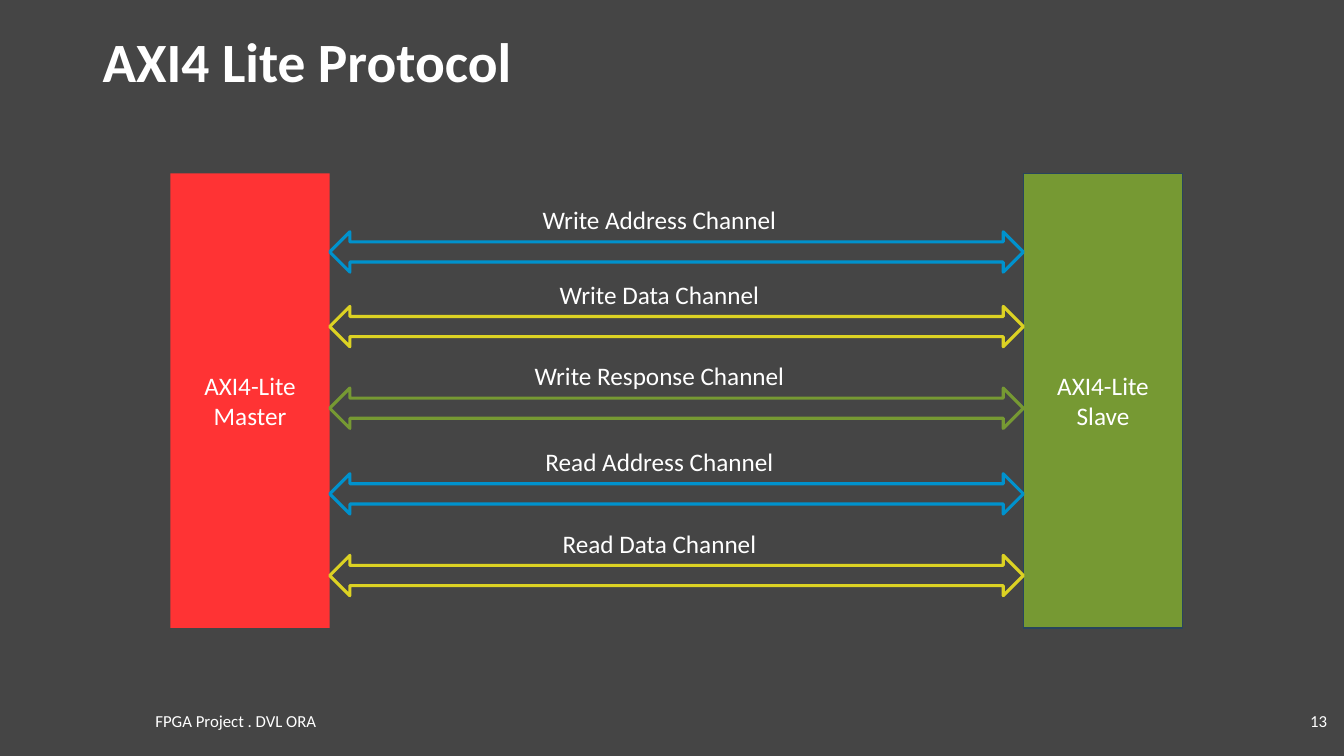
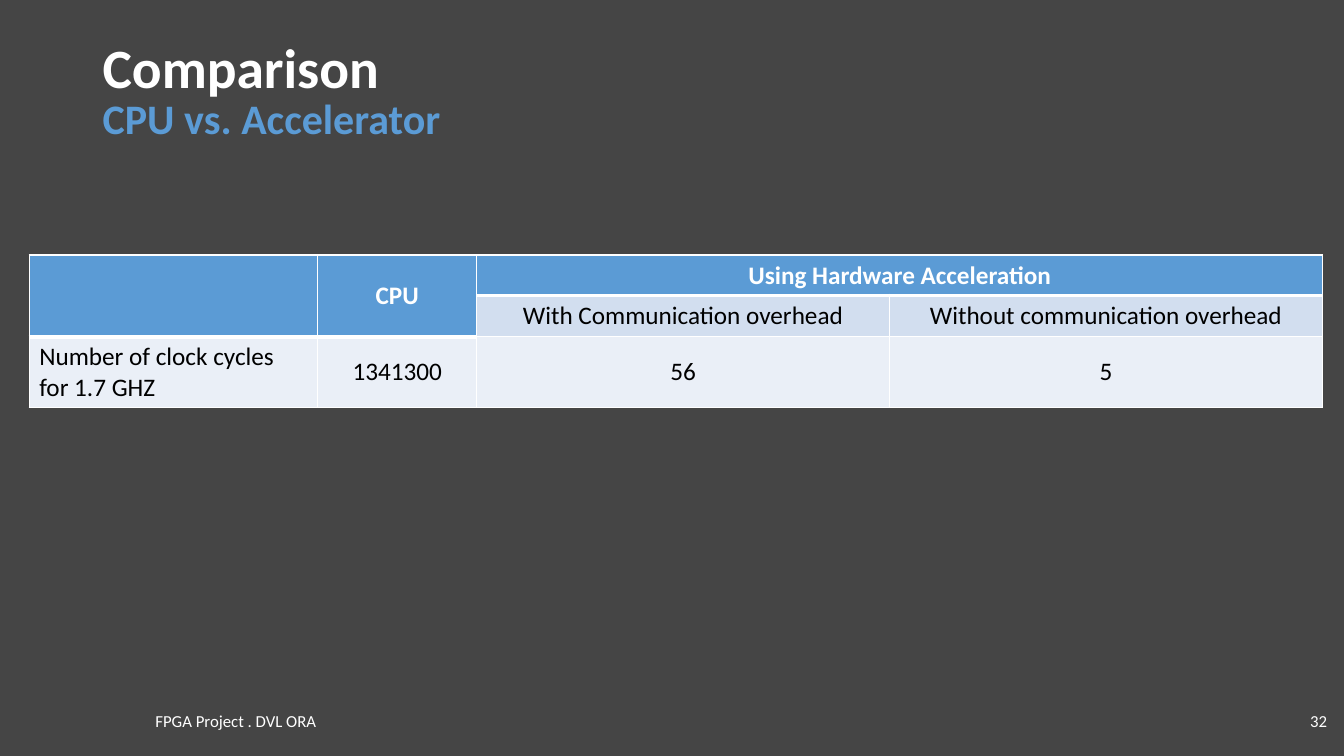
import pptx
import pptx.dml.color
import pptx.enum.shapes
import pptx.enum.text
import pptx.oxml
import pptx.oxml.ns
import pptx.util

Inches = pptx.util.Inches
Pt = pptx.util.Pt
RGBColor = pptx.dml.color.RGBColor
ALIGN = pptx.enum.text.PP_ALIGN
ANCHOR = pptx.enum.text.MSO_ANCHOR
SHAPE = pptx.enum.shapes.MSO_SHAPE

FONT = "Calibri"
FOOTER = "FPGA Project . DVL ORA"
BACKGROUND = RGBColor(0x45, 0x45, 0x45)
WHITE = RGBColor(0xFF, 0xFF, 0xFF)
BLACK = RGBColor(0x00, 0x00, 0x00)
RED = RGBColor(0xFF, 0x33, 0x34)
GREEN = RGBColor(0x76, 0x99, 0x33)
NAVY = RGBColor(0x28, 0x44, 0x5D)
CYAN = RGBColor(0x00, 0x92, 0xCD)
YELLOW = RGBColor(0xDC, 0xD2, 0x23)
BLUE = RGBColor(0x5B, 0x9B, 0xD5)
BAND = RGBColor(0xD2, 0xDE, 0xEF)
LIGHT_BAND = RGBColor(0xEA, 0xEF, 0xF7)


def write(holder, text, size=18, color=WHITE, bold=False, align=ALIGN.CENTER, spacing=1.0):
    """Put one styled paragraph into a shape or a table cell."""
    frame = holder.text_frame
    frame.word_wrap = True
    frame.text = text
    paragraph = frame.paragraphs[0]
    paragraph.alignment = align
    paragraph.line_spacing = spacing
    paragraph.font.name = FONT
    paragraph.font.size = Pt(size)
    paragraph.font.bold = bold
    paragraph.font.color.rgb = color


def add_text(slide, left, top, width, height, text, anchor=ANCHOR.MIDDLE, **style):
    box = slide.shapes.add_textbox(Inches(left), Inches(top), Inches(width), Inches(height))
    box.text_frame.vertical_anchor = anchor
    write(box, text, **style)


presentation = pptx.Presentation()
presentation.slide_width = Inches(13.33)
presentation.slide_height = Inches(7.5)
master_fill = presentation.slide_master.background.fill
master_fill.solid()
master_fill.fore_color.rgb = BACKGROUND

# Title, page number and footer of every slide
slides = []
for title, title_top, title_width, number in [
    ("AXI4 Lite Protocol", 0.4, 11.5, "13"),
    ("Comparison", 0.46, 6.24, "32"),
]:
    slide = presentation.slides.add_slide(presentation.slide_layouts[6])
    add_text(slide, 0.92, title_top, title_width, 0.48, title,
             size=39.6, bold=True, align=ALIGN.LEFT, spacing=0.9)
    add_text(slide, 12.59, 6.95, 0.67, 0.4, number, size=12, align=ALIGN.RIGHT)
    add_text(slide, 0.38, 6.95, 3.92, 0.4, FOOTER, size=12)
    slides.append(slide)
protocol_slide, comparison_slide = slides

# Protocol: master and slave joined by five channels
MASTER_LEFT, SLAVE_LEFT, BLOCK_WIDTH = 1.69, 10.15, 1.58
CHANNEL_LEFT = MASTER_LEFT + BLOCK_WIDTH

for left, text, fill, line in [
    (MASTER_LEFT, "AXI4-Lite\vMaster", RED, None),
    (SLAVE_LEFT, "AXI4-Lite\vSlave", GREEN, NAVY),
]:
    block = protocol_slide.shapes.add_shape(
        SHAPE.RECTANGLE, Inches(left), Inches(1.72), Inches(BLOCK_WIDTH), Inches(4.51))
    block.shadow.inherit = False
    block.fill.solid()
    block.fill.fore_color.rgb = fill
    if line is None:
        block.line.fill.background()
    else:
        block.line.color.rgb = line
        block.line.width = Pt(1)
    write(block, text)

for top, text, color in [
    (2.3, "Write Address Channel", CYAN),
    (3.04, "Write Data Channel", YELLOW),
    (3.85, "Write Response Channel", GREEN),
    (4.7, "Read Address Channel", CYAN),
    (5.51, "Read Data Channel", YELLOW),
]:
    arrow = protocol_slide.shapes.add_shape(
        SHAPE.LEFT_RIGHT_ARROW, Inches(CHANNEL_LEFT), Inches(top),
        Inches(SLAVE_LEFT - CHANNEL_LEFT), Inches(0.4))
    arrow.shadow.inherit = False
    arrow.fill.background()
    arrow.line.color.rgb = color
    arrow.line.width = Pt(2.25)
    add_text(protocol_slide, 5.13, top - 0.32, 2.82, 0.4, text, anchor=ANCHOR.TOP)

# Comparison: clock cycles with and without the accelerator
add_text(comparison_slide, 0.92, 0.99, 11.5, 0.48, "CPU vs. Accelerator",
         size=30, color=BLUE, bold=True, align=ALIGN.LEFT, spacing=0.7)

COLUMN_WIDTHS = [2.86, 1.58, 4.09, 4.3]
ROW_HEIGHTS = [0.4, 0.41, 0.7]
ROWS = [
    ["", "CPU", "Using Hardware Acceleration", ""],
    ["", "", "With Communication overhead", "Without communication overhead"],
    ["Number of clock cycles\vfor 1.7 GHZ", "1341300", "56", "5"],
]
table = comparison_slide.shapes.add_table(
    len(ROWS), len(COLUMN_WIDTHS), Inches(0.29), Inches(2.53),
    Inches(sum(COLUMN_WIDTHS)), Inches(sum(ROW_HEIGHTS))).table
table.horz_banding = False
for column, width in zip(table.columns, COLUMN_WIDTHS):
    column.width = Inches(width)
for row, height in zip(table.rows, ROW_HEIGHTS):
    row.height = Inches(height)

for row_index, texts in enumerate(ROWS):
    for column_index, text in enumerate(texts):
        cell = table.cell(row_index, column_index)
        header = row_index == 0 or (row_index == 1 and column_index < 2)
        borders = {"lnL": 1, "lnR": 1, "lnT": 1, "lnB": 3 if header else 1}
        if row_index > 0:
            del borders["lnT"]
        properties = cell._tc.get_or_add_tcPr()
        for side, points in borders.items():
            properties.append(pptx.oxml.parse_xml(
                f'<a:{side} {pptx.oxml.ns.nsdecls("a")} w="{Pt(points)}"><a:solidFill>'
                f'<a:srgbClr val="{WHITE}"/></a:solidFill></a:{side}>'))
        cell.fill.solid()
        cell.fill.fore_color.rgb = BLUE if header else [BAND, LIGHT_BAND][row_index - 1]
        cell.vertical_anchor = ANCHOR.MIDDLE
        if text:
            write(cell, text, color=WHITE if header else BLACK, bold=header,
                  align=ALIGN.LEFT if column_index == 0 else ALIGN.CENTER)

for first, last in [((0, 0), (1, 0)), ((0, 1), (1, 1)), ((0, 2), (0, 3))]:
    table.cell(*first).merge(table.cell(*last))

presentation.save("out.pptx")
